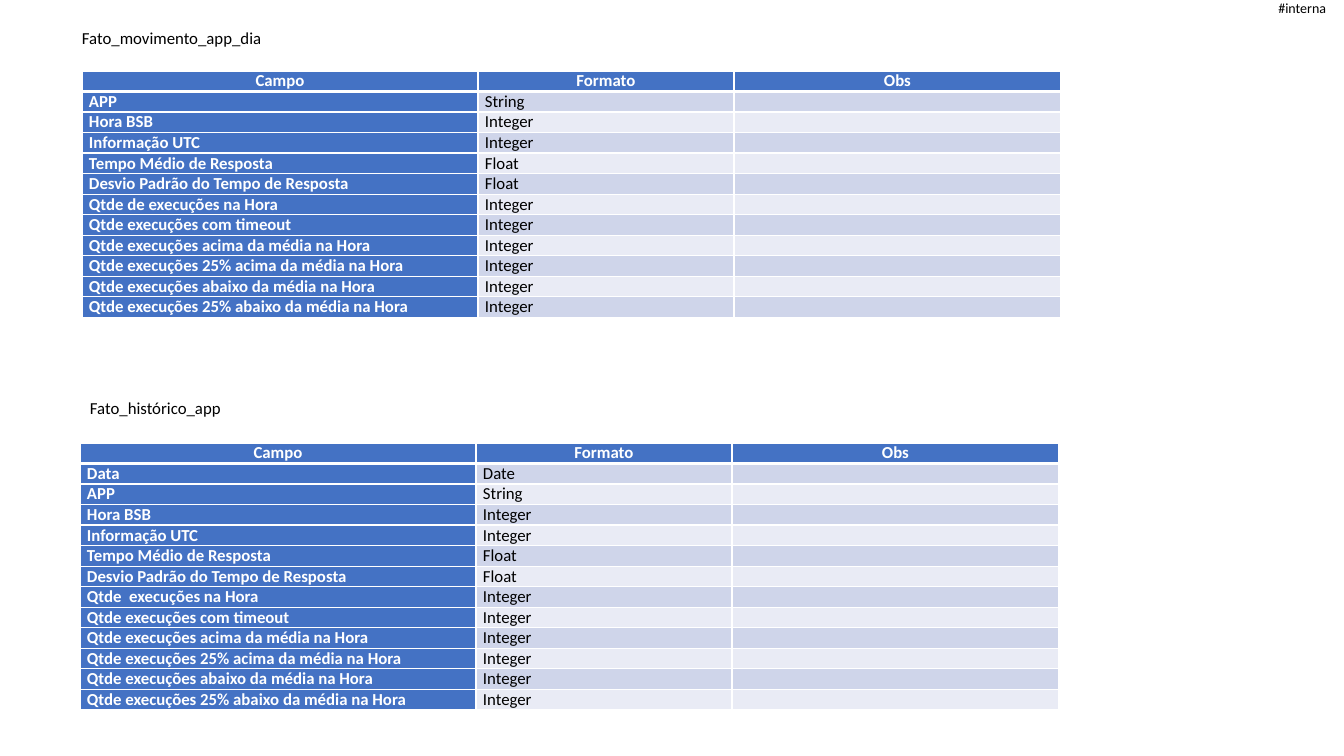
from lxml import etree
from pptx import Presentation
from pptx.dml.color import RGBColor
from pptx.enum.text import MSO_ANCHOR, PP_ALIGN
from pptx.oxml.ns import qn
from pptx.util import Emu, Pt

LEFT, CENTER, RIGHT = PP_ALIGN.LEFT, PP_ALIGN.CENTER, PP_ALIGN.RIGHT
TOP, MIDDLE = MSO_ANCHOR.TOP, MSO_ANCHOR.MIDDLE

# Content
HEADINGS = ["Campo", "Formato", "Obs"]
DAILY_FIELDS = [
    ("APP", "String"),
    ("Hora BSB", "Integer"),
    ("Informação UTC", "Integer"),
    ("Tempo Médio de Resposta", "Float"),
    ("Desvio Padrão do Tempo de Resposta", "Float"),
    ("Qtde de execuções na Hora", "Integer"),
    ("Qtde execuções com timeout", "Integer"),
    ("Qtde execuções acima da média na Hora", "Integer"),
    ("Qtde execuções 25% acima da média na Hora", "Integer"),
    ("Qtde execuções abaixo da média na Hora", "Integer"),
    ("Qtde execuções 25% abaixo da média na Hora", "Integer"),
]
RENAMED = {"Qtde de execuções na Hora": "Qtde  execuções na Hora"}
HISTORY_FIELDS = [("Data", "Date")] + [
    (RENAMED.get(field, field), kind) for field, kind in DAILY_FIELDS
]
FACT_TABLES = [
    {"fields": DAILY_FIELDS, "at": (82, 71)},
    {"fields": HISTORY_FIELDS, "at": (80, 443)},
]
LABELS = [
    {"text": "#interna", "box": (1275, 0, 51, 17), "size": "tag",
     "align": RIGHT, "inset": (0, 0), "anchor": TOP, "wrap": True},
    {"text": "Fato_movimento_app_dia", "box": (72, 23, 201, 30), "size": "body",
     "align": LEFT, "inset": (10, 5), "anchor": MIDDLE, "wrap": False},
    {"text": "Fato_histórico_app", "box": (80, 393, 152, 30), "size": "body",
     "align": LEFT, "inset": (10, 5), "anchor": MIDDLE, "wrap": False},
]

# Theme and layout
THEME = {
    "font": "Calibri",
    "size": {"tag": Pt(10), "body": Pt(12)},
    "dark": "000000", "light": "FFFFFF", "accent": "4472C4",
    "bands": ("CFD5EA", "E9EBF5"),
    "rule": Pt(1), "header_rule": Pt(3),
}
SLIDE_SIZE = (1344, 756)
COLUMNS = (396, 256, 327)
ROW_HEIGHT = 20
CELL_INSET = 7


def px(length):
    return Emu(round(length * 914400 / 100.8))


def assign(target, values):
    for name, value in values.items():
        setattr(target, name, value)


def write(paragraph, text, align, color, size="body", bold=False):
    paragraph.alignment = align
    run = paragraph.add_run()
    run.text = text
    assign(run.font, {"name": THEME["font"], "size": THEME["size"][size], "bold": bold})
    run.font.color.rgb = RGBColor.from_string(color)


def add_borders(cell, row):
    widths = {
        "lnL": THEME["rule"], "lnR": THEME["rule"],
        "lnT": THEME["header_rule"] if row == 1 else THEME["rule"],
        "lnB": THEME["header_rule"] if row == 0 else THEME["rule"],
    }
    properties = cell._tc.get_or_add_tcPr()
    for position, (side, width) in enumerate(widths.items()):
        line = etree.Element(qn(f"a:{side}"), w=str(width))
        fill = etree.SubElement(line, qn("a:solidFill"))
        etree.SubElement(fill, qn("a:srgbClr"), val=THEME["light"])
        properties.insert(position, line)


def fill_cell(cell, text, row, column):
    accented = row == 0 or column == 0
    assign(cell, {"margin_left": px(CELL_INSET), "margin_right": px(CELL_INSET),
                  "margin_top": 0, "margin_bottom": 0})
    cell.fill.solid()
    cell.fill.fore_color.rgb = RGBColor.from_string(
        THEME["accent"] if accented else THEME["bands"][(row - 1) % 2])
    add_borders(cell, row)
    paragraph = cell.text_frame.paragraphs[0]
    if text:
        write(paragraph, text, CENTER if row == 0 else LEFT,
              THEME["light"] if accented else THEME["dark"], bold=accented)
    else:
        # Empty cells keep the body size so that rows stay low
        etree.SubElement(paragraph._p, qn("a:endParaRPr"),
                         sz=str(int(THEME["size"]["body"].pt * 100)))


def add_fact_table(slide, fields, at):
    rows = [HEADINGS] + [(field, kind, "") for field, kind in fields]
    box = (*at, sum(COLUMNS), ROW_HEIGHT * len(rows))
    table = slide.shapes.add_table(len(rows), len(COLUMNS), *map(px, box)).table
    table.first_col = True
    for column, width in zip(table.columns, COLUMNS):
        column.width = px(width)
    for row, texts in enumerate(rows):
        table.rows[row].height = px(ROW_HEIGHT)
        for column, text in enumerate(texts):
            fill_cell(table.cell(row, column), text, row, column)


def add_label(slide, text, box, size, align, inset, anchor, wrap):
    frame = slide.shapes.add_textbox(*map(px, box)).text_frame
    side, end = map(px, inset)
    assign(frame, {"margin_left": side, "margin_right": side, "margin_top": end,
                   "margin_bottom": end, "vertical_anchor": anchor, "word_wrap": wrap})
    write(frame.paragraphs[0], text, align, THEME["dark"], size)


# Build the slide
deck = Presentation()
deck.slide_width, deck.slide_height = map(px, SLIDE_SIZE)
slide = deck.slides.add_slide(deck.slide_layouts[6])
for fact_table in FACT_TABLES:
    add_fact_table(slide, **fact_table)
for label in LABELS:
    add_label(slide, **label)
deck.save("out.pptx")
